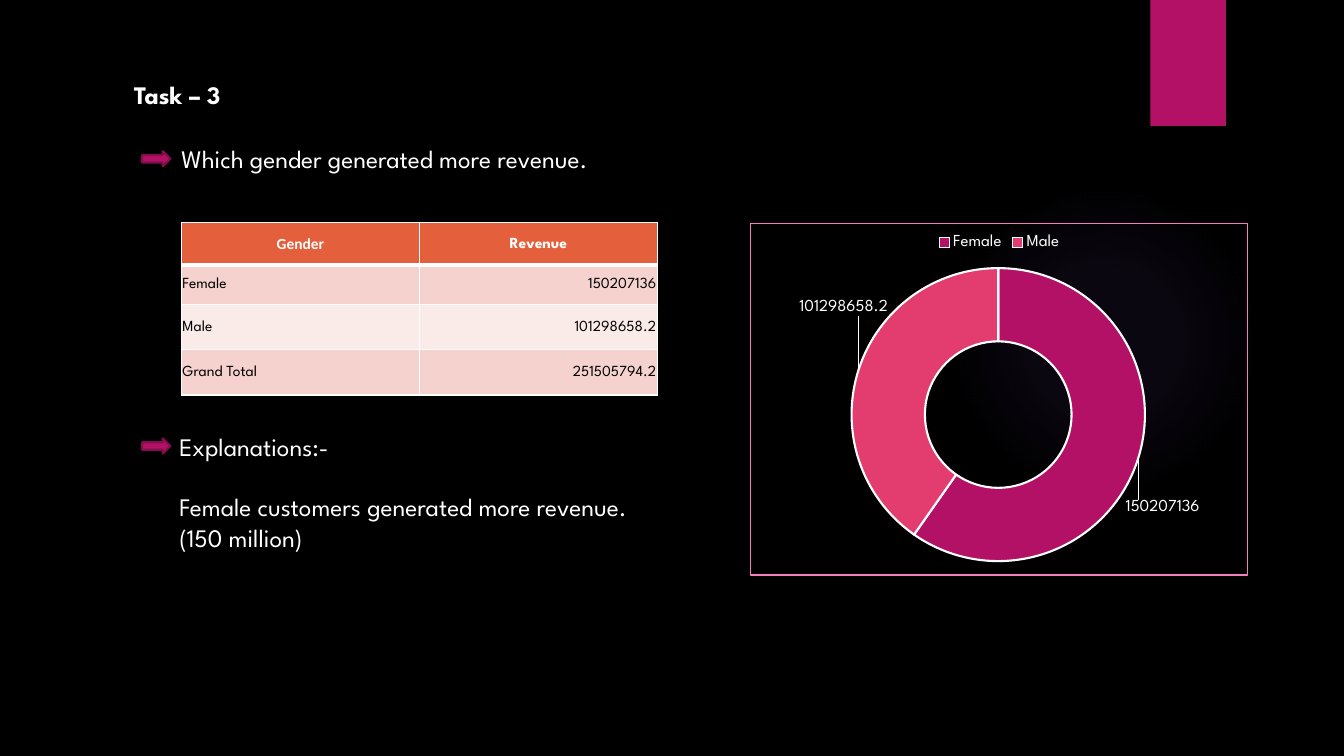
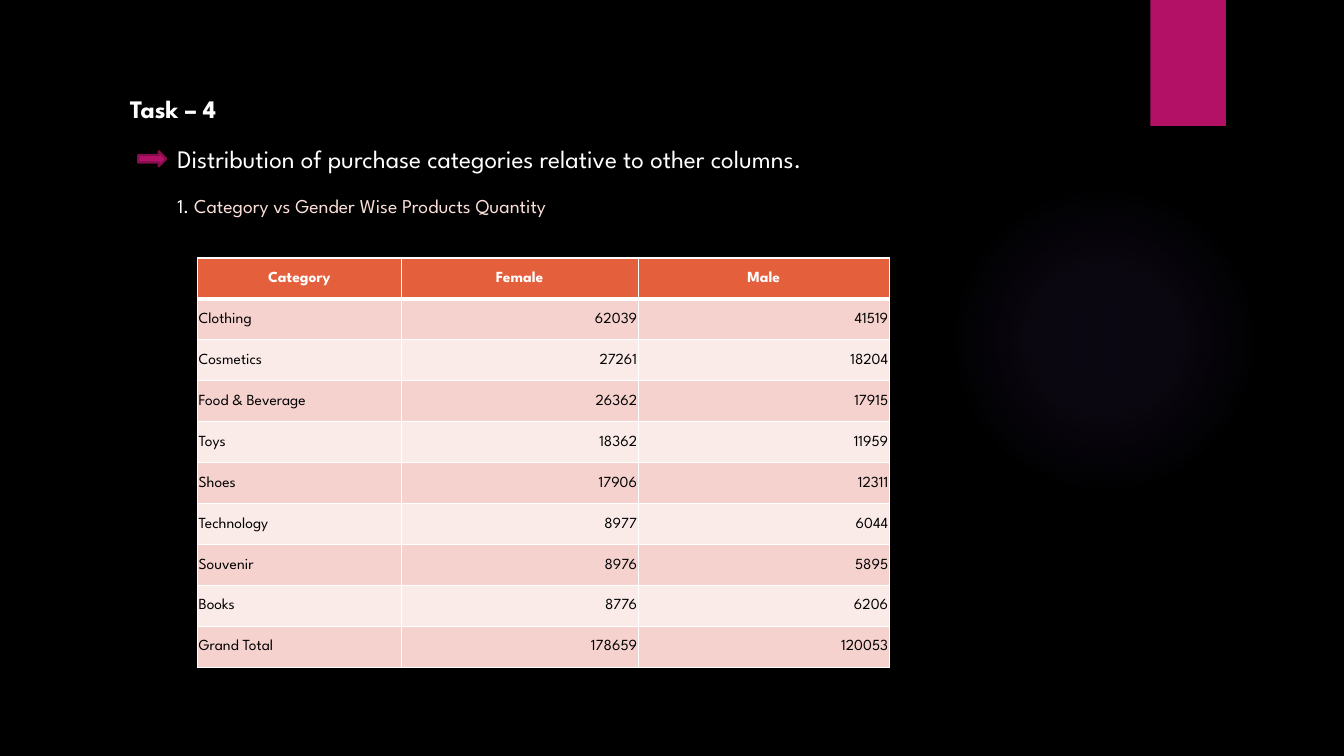
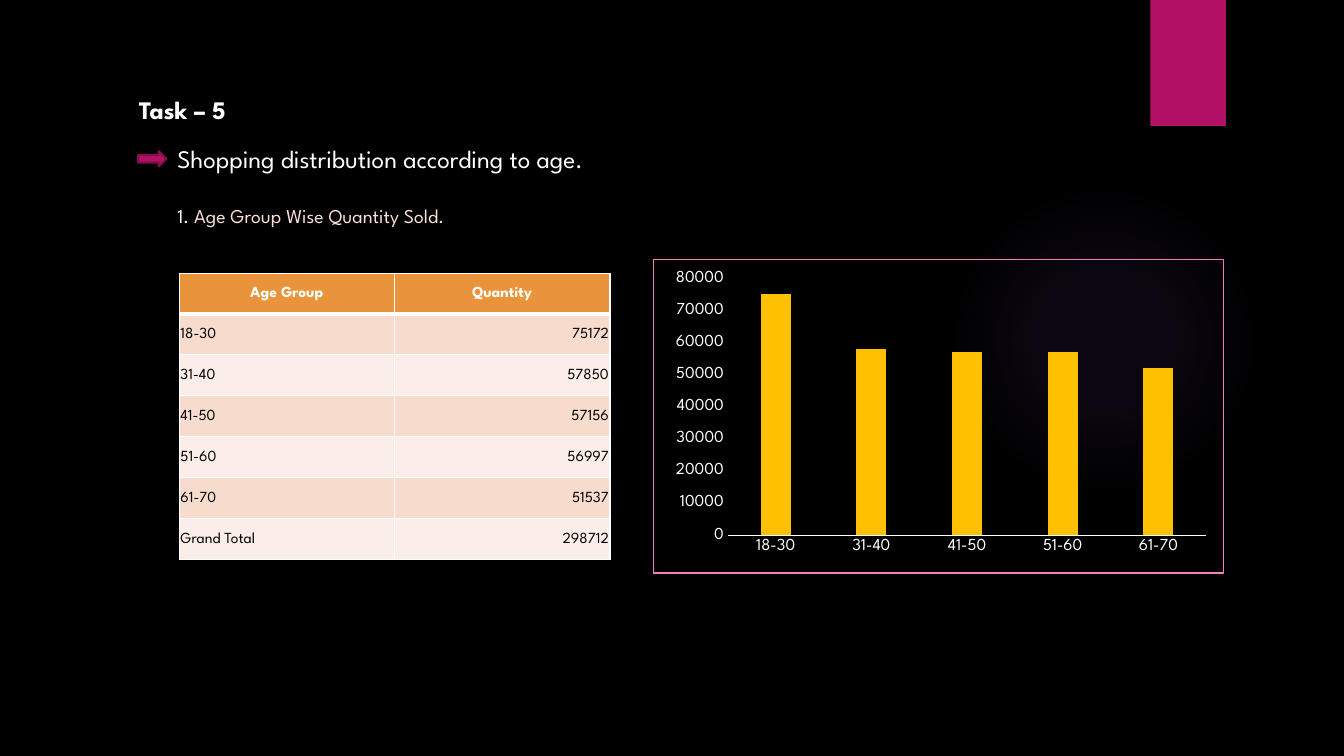
from lxml import etree
from pptx import Presentation
from pptx.chart.data import CategoryChartData
from pptx.dml.color import RGBColor
from pptx.enum.chart import XL_CHART_TYPE as Chart, XL_LEGEND_POSITION as Legend, XL_TICK_MARK as Tick
from pptx.enum.shapes import MSO_SHAPE as Shape
from pptx.enum.text import MSO_ANCHOR as Anchor, PP_ALIGN as Align
from pptx.oxml import parse_xml
from pptx.oxml.ns import nsdecls, qn
from pptx.util import Inches, Pt


def colour(value):
    return RGBColor.from_string(value)


class Deck:
    """Dark sales deck: shared style, the current slide and its elements."""

    font = "League Spartan"
    white, black, accent, edge = "FFFFFF", "000000", "B31166", "840D4B"
    glow, border, peach = "9B6BF2", "F37EBB", "FADFD8"
    red_table = ("E45F3C", "F5D2CE", "FAEAE8")
    orange_table = ("E9943A", "F7DCCE", "FBEEE8")

    def __init__(self):
        self.presentation = Presentation()
        self.presentation.slide_width = Inches(13.33)
        self.presentation.slide_height = Inches(7.5)
        fill = self.presentation.slide_master.background.fill
        fill.solid()
        fill.fore_color.rgb = colour(self.black)
        self.slide = None

    def style(self, font, **values):
        values = {"name": self.font, "size": 18, "bold": False, "color": self.white, **values}
        values["size"] = Pt(values["size"])
        font.color.rgb = colour(values.pop("color"))
        for name, value in values.items():
            setattr(font, name, value)

    def line(self, line, value, width):
        line.color.rgb = colour(value)
        line.width = Pt(width)

    def shape(self, kind, box, fill=None):
        shape = self.slide.shapes.add_shape(kind, *map(Inches, box))
        shape.shadow.inherit = False
        shape.line.fill.background()
        if fill:
            shape.fill.solid()
            shape.fill.fore_color.rgb = colour(fill)
        else:
            shape.fill.background()
        return shape

    def add_glow(self):
        properties = self.shape(Shape.OVAL, (9.41, 1.83, 3.08, 3.08)).element.spPr
        stops = "".join(
            f'<a:gs pos="{place * 1000}"><a:srgbClr val="{self.glow}">'
            f'<a:alpha val="{alpha * 1000}"/></a:srgbClr></a:gs>'
            for place, alpha in ((0, 7), (36, 6), (69, 0), (100, 0)))
        gradient = parse_xml(
            f'<a:gradFill {nsdecls("a")}><a:gsLst>{stops}</a:gsLst><a:path path="circle">'
            '<a:fillToRect l="50000" t="50000" r="50000" b="50000"/></a:path></a:gradFill>')
        properties.replace(properties.find(qn("a:noFill")), gradient)

    def add_slide(self, title, left, top):
        self.slide = self.presentation.slides.add_slide(self.presentation.slide_layouts[6])
        self.add_glow()
        self.shape(Shape.RECTANGLE, (11.41, 0, 0.75, 1.25), self.accent)
        self.add_text((left, top, 1.14, 0.4), [[(title, {"bold": True})]])

    def add_text(self, box, paragraphs, gap=0):
        frame = self.slide.shapes.add_textbox(*map(Inches, box)).text_frame
        frame.word_wrap = True
        for index, runs in enumerate(paragraphs):
            paragraph = frame.add_paragraph() if index else frame.paragraphs[0]
            if index:
                paragraph.space_before = Pt(gap)
            for text, values in runs:
                run = paragraph.add_run()
                run.text = text
                self.style(run.font, **values)

    def add_arrow(self, left, top):
        arrow = self.shape(Shape.RIGHT_ARROW, (left, top, 0.28, 0.15), self.accent)
        self.line(arrow.line, self.edge, 1.5)

    def add_question(self, left, text):
        self.add_arrow(left, 1.5)
        self.add_text((left + 0.29, 1.37, 7.89, 0.4), [[(text, {})]])

    def add_subtitle(self, top, text):
        runs = [("1. ", {"size": 14}), (text, {"size": 14, "color": self.peach})]
        self.add_text((1.66, top, 7.22, 0.34), [runs])

    def add_table(self, left, top, widths, heights, rows, fills, header_fonts=()):
        box = map(Inches, (left, top, sum(widths), sum(heights)))
        table = self.slide.shapes.add_table(len(rows), len(widths), *box).table
        for column, width in zip(table.columns, widths):
            column.width = Inches(width)
        for index, (row, height) in enumerate(zip(rows, heights)):
            table.rows[index].height = Inches(height)
            fill = fills[2 - index % 2] if index else fills[0]
            for place, text in enumerate(row):
                values = {"size": 11, "color": self.black}
                align = Align.RIGHT if place else Align.LEFT
                if index == 0:
                    values = {"size": 11, "bold": True}
                    align = Align.CENTER
                    if place < len(header_fonts):
                        values["name"] = header_fonts[place]
                self.fill_cell(table.cell(index, place), text, fill, align, values, index)

    def fill_cell(self, cell, text, fill, align, values, index):
        margins = {"left": 0.01, "top": 0.01, "right": 0.01, "bottom": 0}
        for side, margin in margins.items():
            setattr(cell, f"margin_{side}", Inches(margin))
        cell.vertical_anchor = Anchor.MIDDLE
        properties = cell._tc.get_or_add_tcPr()
        thick = {0: "B", 1: "T"}.get(index)
        for side in "LRTB":
            width = Pt(3 if side == thick else 1)
            properties.append(parse_xml(
                f'<a:ln{side} {nsdecls("a")} w="{width}"><a:solidFill>'
                f'<a:srgbClr val="{self.white}"/></a:solidFill></a:ln{side}>'))
        cell.fill.solid()
        cell.fill.fore_color.rgb = colour(fill)
        paragraph = cell.text_frame.paragraphs[0]
        paragraph.alignment = align
        run = paragraph.add_run()
        run.text = text
        self.style(run.font, **values)

    def add_chart(self, kind, box, categories, numbers):
        data = CategoryChartData()
        data.categories = categories
        data.add_series("Series 1", numbers)
        chart = self.slide.shapes.add_chart(kind, *map(Inches, box), data).chart
        chart.has_title = False
        chart.has_legend = False
        self.style(chart.font, size=10)
        chart.element.find(qn("c:chart")).addnext(parse_xml(
            f'<c:spPr {nsdecls("c", "a")}><a:noFill/><a:ln w="{Pt(0.75)}"><a:solidFill>'
            f'<a:srgbClr val="{self.border}"/></a:solidFill></a:ln></c:spPr>'))
        return chart

    def layout(self, **values):
        layout = etree.Element(qn("c:layout"))
        manual = etree.SubElement(layout, qn("c:manualLayout"))
        for name, value in values.items():
            etree.SubElement(manual, qn(f"c:{name}")).set("val", str(value))
        return layout

    def add_doughnut(self, box, categories, numbers, colours, offsets):
        chart = self.add_chart(Chart.DOUGHNUT, box, categories, numbers)
        chart.has_legend = True
        chart.legend.position = Legend.TOP
        chart.legend.include_in_layout = False
        self.style(chart.legend.font, size=12)
        for hole in chart.element.iter(qn("c:holeSize")):
            hole.set("val", "75")
        series = chart.plots[0].series[0]
        labels = series.data_labels
        labels.show_value = True
        self.style(labels.font, size=12)
        for index, fill in enumerate(colours):
            point = series.points[index]
            point.format.fill.solid()
            point.format.fill.fore_color.rgb = colour(fill)
            self.line(point.format.line, self.white, 1.5)
            self.style(point.data_label.font, size=12)
        for label, (x, y) in zip(chart.element.iter(qn("c:dLbl")), offsets):
            label.find(qn("c:idx")).addnext(self.layout(x=x, y=y))
        series.data_labels._element.append(parse_xml(
            f'<c:leaderLines {nsdecls("c", "a")}><c:spPr><a:ln w="{Pt(0.75)}"><a:solidFill>'
            f'<a:srgbClr val="{self.white}"/></a:solidFill></a:ln></c:spPr></c:leaderLines>'))

    def add_columns(self, box, categories, numbers, fill):
        chart = self.add_chart(Chart.COLUMN_CLUSTERED, box, categories, numbers)
        plot = chart.plots[0]
        for name, value in {"gap_width": 219, "overlap": -27, "vary_by_categories": False}.items():
            setattr(plot, name, value)
        bars = plot.series[0].format.fill
        bars.solid()
        bars.fore_color.rgb = colour(fill)
        for axis in (chart.category_axis, chart.value_axis):
            axis.major_tick_mark = axis.minor_tick_mark = Tick.NONE
            axis.has_major_gridlines = False
            self.style(axis.tick_labels.font, size=12)
        self.line(chart.category_axis.format.line, self.white, 0.75)
        chart.value_axis.format.line.fill.background()
        scale = {"minimum_scale": 0, "maximum_scale": 80000, "major_unit": 10000}
        for name, value in scale.items():
            setattr(chart.value_axis, name, value)
        area = next(chart.element.iter(qn("c:plotArea")))
        for old in area.findall(qn("c:layout")):
            area.remove(old)
        area.insert(0, self.layout(layoutTarget="inner", xMode="edge", yMode="edge",
                                   x=0.13, y=0.06, w=0.84, h=0.82))


def gender_revenue(deck):
    deck.add_slide("Task – 3", 1.23, 0.74)
    deck.add_question(1.41, "Which gender generated more revenue.")
    rows = [("Gender", "Revenue"), ("Female", "150207136"),
            ("Male", "101298658.2"), ("Grand Total", "251505794.2")]
    deck.add_table(1.8, 2.21, [2.36] * 2, [0.42, 0.39, 0.45, 0.45], rows,
                   deck.red_table, ["Calibri"])
    deck.add_arrow(1.41, 4.35)
    deck.add_doughnut((7.44, 2.21, 4.94, 3.5), ["Female", "Male"], [150207136, 101298658.2],
                      [deck.accent, "E33D6F"], [(0.12, 0.17), (-0.1, -0.21)])
    deck.add_text((1.68, 4.23, 4.84, 1.31), [
        [("Explanations:-", {})],
        [("Female customers generated more revenue. (150 million)", {})]], gap=21.5)


def category_quantity(deck):
    deck.add_slide("Task – 4", 1.19, 0.88)
    deck.add_question(1.37, "Distribution of purchase categories relative to other columns.")
    rows = [("Category", "Female", "Male"), ("Clothing", "62039", "41519"),
            ("Cosmetics", "27261", "18204"), ("Food & Beverage", "26362", "17915"),
            ("Toys", "18362", "11959"), ("Shoes", "17906", "12311"),
            ("Technology", "8977", "6044"), ("Souvenir", "8976", "5895"),
            ("Books", "8776", "6206"), ("Grand Total", "178659", "120053")]
    deck.add_table(1.96, 2.56, [2.02, 2.35, 2.49], [4.06 / len(rows)] * len(rows), rows,
                   deck.red_table)
    deck.add_subtitle(1.87, "Category vs Gender Wise Products Quantity")


def age_quantity(deck):
    deck.add_slide("Task – 5", 1.28, 0.89)
    deck.add_question(1.37, "Shopping distribution according to age.")
    deck.add_subtitle(1.97, "Age Group Wise Quantity Sold.")
    ages = ["18-30", "31-40", "41-50", "51-60", "61-70"]
    quantities = ["75172", "57850", "57156", "56997", "51537"]
    rows = [("Age Group", "Quantity"), *zip(ages, quantities), ("Grand Total", "298712")]
    deck.add_table(1.78, 2.71, [2.13, 2.14], [2.84 / len(rows)] * len(rows), rows,
                   deck.orange_table)
    deck.add_columns((6.48, 2.57, 5.66, 3.12), ages, [75000, 58000, 57000, 57000, 52000], "FFC000")


def main():
    deck = Deck()
    for build in (gender_revenue, category_quantity, age_quantity):
        build(deck)
    deck.presentation.save("out.pptx")


if __name__ == "__main__":
    main()
